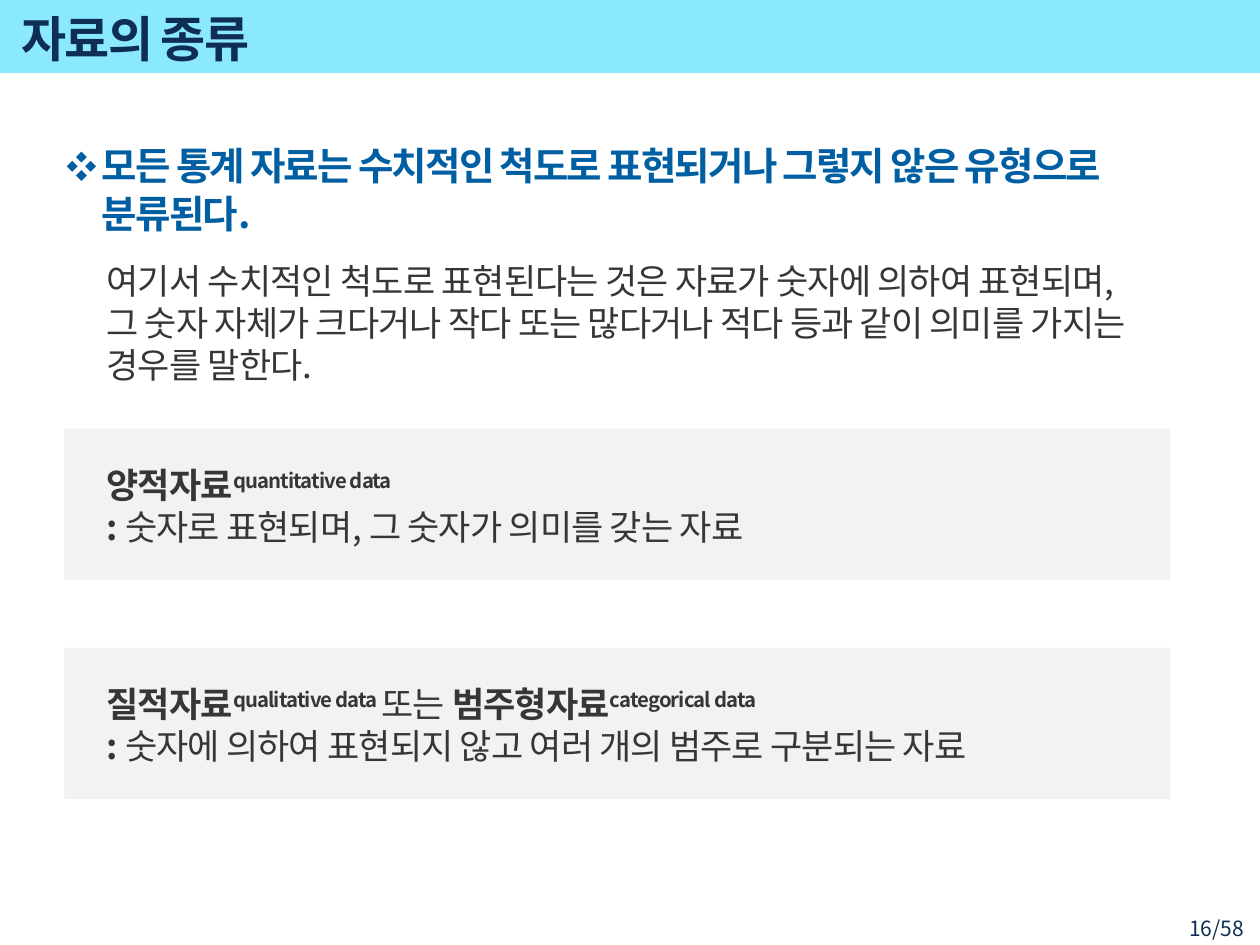
from lxml import etree
from pptx import Presentation
from pptx.dml.color import RGBColor
from pptx.enum.shapes import MSO_SHAPE
from pptx.enum.text import MSO_ANCHOR, MSO_AUTO_SIZE, PP_ALIGN
from pptx.oxml.ns import qn
from pptx.util import Cm, Pt

RECT = MSO_SHAPE.RECTANGLE
TOP, MIDDLE = MSO_ANCHOR.TOP, MSO_ANCHOR.MIDDLE
LEFT, RIGHT = PP_ALIGN.LEFT, PP_ALIGN.RIGHT
NO_FIT = MSO_AUTO_SIZE.NONE

FONT = "Noto Sans CJK KR"
COLORS = {"band": "8BE9FF", "navy": "0F2E53", "blue": "005EA2",
          "text": "363636", "panel": "F2F2F2"}
# size in points, letter spacing in hundredths of a point
STYLES = {
    "title": {"size": 28, "bold": True, "color": "navy", "spc": -100},
    "lead": {"size": 22, "bold": True, "color": "blue", "spc": -100},
    "body": {"size": 20, "bold": False, "color": "text", "spc": -50},
    "term": {"size": 20, "bold": True, "color": "text", "spc": -50},
    "english": {"size": 20, "bold": True, "color": "text", "spc": -50,
                "baseline": 30000},
    "page": {"size": 12, "bold": False, "color": "navy", "spc": 0},
}
BREAK = ("\n", None)
TEXT_LEFT, TEXT_WIDTH = 1.9, 21.31
PANEL_TOP, PANEL_STEP = 8.64, 4.42
PANELS = [
    [("양적자료", "term"), ("quantitative data", "english"), BREAK,
     (": ", "term"), ("숫자로 표현되며, 그 숫자가 의미를 갖는 자료", "body")],
    [("질적자료", "term"), ("qualitative data ", "english"),
     ("또는 ", "body"), ("범주형자료", "term"),
     ("categorical data", "english"), BREAK, (": ", "term"),
     ("숫자에 의하여 표현되지 않고 여러 개의 범주로 구분되는 자료", "body")],
]


def add_rect(s, box, color):
    sp = s.shapes.add_shape(RECT, *map(Cm, box))
    sp.shadow.inherit = False
    sp.fill.solid()
    sp.fill.fore_color.rgb = RGBColor.from_string(COLORS[color])
    sp.line.fill.background()


def add_run(p, text, style):
    fmt = STYLES[style]
    r = p.add_run()
    r.text = text
    values = {"name": FONT, "size": Pt(fmt["size"]), "bold": fmt["bold"]}
    for name, value in values.items():
        setattr(r.font, name, value)
    r.font.color.rgb = RGBColor.from_string(COLORS[fmt["color"]])
    rpr = r.font._element
    rpr.set("spc", str(fmt["spc"]))
    if "baseline" in fmt:
        rpr.set("baseline", str(fmt["baseline"]))
    etree.SubElement(rpr, qn("a:ea")).set("typeface", FONT)


def fill_text(sp, box, runs, anchor=TOP, align=LEFT, spacing=None):
    """Place a text shape and write its one paragraph from (text, style) runs."""
    for name, value in zip(("left", "top", "width", "height"), box):
        setattr(sp, name, Cm(value))
    tf = sp.text_frame
    for name, value in {"word_wrap": True, "auto_size": NO_FIT,
                        "vertical_anchor": anchor}.items():
        setattr(tf, name, value)
    p = tf.paragraphs[0]
    for name, value in {"alignment": align, "line_spacing": spacing,
                        "space_before": Pt(0)}.items():
        setattr(p, name, value)
    for text, style in runs:
        if style is None:
            p.add_line_break()
        else:
            add_run(p, text, style)
    return p


def add_text(s, box, runs, **layout):
    return fill_text(s.shapes.add_textbox(*map(Cm, box)), box, runs, **layout)


def set_bullet(p, char, percent, indent):
    ppr = p._p.get_or_add_pPr()
    ppr.set("marL", str(indent))
    ppr.set("indent", str(-indent))
    etree.SubElement(ppr, qn("a:buSzPct")).set("val", str(percent * 1000))
    etree.SubElement(ppr, qn("a:buFont")).set("typeface", "Wingdings")
    ppr[-1].set("typeface", FONT)
    etree.SubElement(ppr, qn("a:buChar")).set("char", char)


def add_panel(s, top, runs):
    add_rect(s, (1.3, top, 22.3, 3.05), "panel")
    add_text(s, (TEXT_LEFT, top + 0.58, TEXT_WIDTH, 1.96), runs,
             spacing=Pt(24))


def main():
    prs = Presentation()
    prs.slide_width, prs.slide_height = Cm(25.4), Cm(19.05)
    s = prs.slides.add_slide(prs.slide_layouts[1])
    title, body = s.placeholders

    add_rect(s, (0, -0.05, 25.4, 1.52), "band")
    band = s.shapes[-1]._element
    s.shapes._spTree.insert(2, band)  # behind the title
    fill_text(title, (0.18, 0.1, 21.62, 1.32), [("자료의 종류", "title")],
              anchor=MIDDLE)
    lead = fill_text(
        body, (1.09, 2.72, 22.45, 1.19),
        [("모든 통계 자료는 수치적인 척도로 표현되거나 그렇지 않은 유형으로 "
          "분류된다.", "lead")], spacing=Pt(27))
    set_bullet(lead, "❖", 80, Cm(0.71))
    add_text(s, (TEXT_LEFT, 5.11, TEXT_WIDTH, 2.82),
             [("여기서 수치적인 척도로 표현된다는 것은 자료가 숫자에 의하여 "
               "표현되며, 그 숫자 자체가 크다거나 작다 또는 많다거나 적다 등과 "
               "같이 의미를 가지는 경우를 말한다.", "body")], spacing=Pt(24))
    for i, runs in enumerate(PANELS):
        add_panel(s, PANEL_TOP + i * PANEL_STEP, runs)
    add_text(s, (22.99, 18.34, 2.34, 0.58), [("16/58", "page")], align=RIGHT)
    prs.save("out.pptx")


if __name__ == "__main__":
    main()
